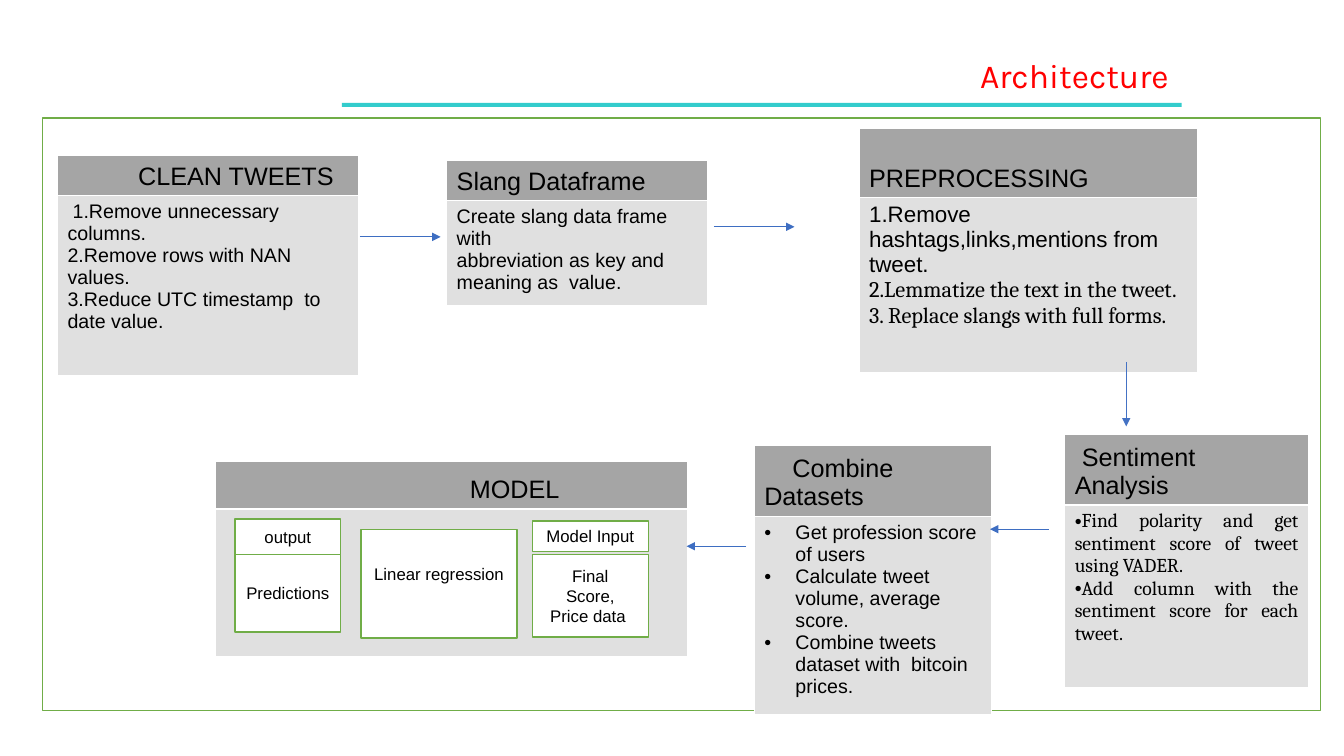
from lxml.etree import SubElement
from pptx import Presentation
from pptx.dml.color import RGBColor
from pptx.enum.shapes import MSO_CONNECTOR, MSO_SHAPE
from pptx.enum.text import MSO_ANCHOR, PP_ALIGN
from pptx.oxml.ns import qn
from pptx.util import Inches, Pt


def color(value):
    return RGBColor.from_string(value)


class Diagram:
    """Draws styled diagram elements on one slide."""

    GREEN, TEAL, BLUE = "70AD47", "33CCCC", "3E6EC2"
    HEADER, BODY, WHITE, BLACK, RED = "A5A5A5", "E0E0E0", "FFFFFF", "000000", "FF0000"

    def __init__(self, slide):
        self.slide = slide

    def label(self, paragraph, text, size, font="Arial", ink=BLACK, align=None):
        run = paragraph.add_run()
        run.text = text
        run.font.size = Pt(size)
        run.font.name = font
        run.font.bold = False
        run.font.color.rgb = color(ink)
        paragraph.alignment = align

    def indent(self, paragraph, first, left=0, bullet=False):
        properties = paragraph._p.get_or_add_pPr()
        properties.set("marL", str(Inches(left)))
        properties.set("indent", str(Inches(first)))
        if bullet:
            SubElement(properties, qn("a:buFont"), typeface="Arial")
            SubElement(properties, qn("a:buChar"), char="•")

    def lines(self, frame, entries, size, align=None):
        for index, (text, font) in enumerate(entries):
            paragraph = frame.add_paragraph() if index else frame.paragraphs[0]
            self.label(paragraph, text, size, font, align=align)
        return frame.paragraphs

    def title(self, text, left, top, width, height):
        frame = self.slide.shapes.add_textbox(
            Inches(left), Inches(top), Inches(width), Inches(height)).text_frame
        frame.word_wrap = True
        self.label(frame.paragraphs[0], text, 24, "Karla", self.RED, PP_ALIGN.RIGHT)

    def box(self, left, top, width, height, labels=(), fill=WHITE, line=GREEN, bottom=0.05):
        shape = self.slide.shapes.add_shape(
            MSO_SHAPE.RECTANGLE, Inches(left), Inches(top), Inches(width), Inches(height))
        shape.shadow.inherit = False
        shape.fill.solid()
        shape.fill.fore_color.rgb = color(fill)
        if line:
            shape.line.color.rgb = color(line)
            shape.line.width = Pt(1)
        else:
            shape.line.fill.background()
        if labels:
            frame = shape.text_frame
            frame.word_wrap = True
            frame.vertical_anchor = MSO_ANCHOR.MIDDLE
            frame.margin_bottom = Inches(bottom)
            self.lines(frame, [(text, "Arial") for text in labels], 12, PP_ALIGN.CENTER)

    def arrow(self, x1, y1, x2, y2, ink=BLUE):
        connector = self.slide.shapes.add_connector(
            MSO_CONNECTOR.STRAIGHT, Inches(x1), Inches(y1), Inches(x2), Inches(y2))
        connector.line.color.rgb = color(ink)
        connector.line.width = Pt(0.75)
        SubElement(connector.line._get_or_add_ln(), qn("a:tailEnd"), type="triangle")
        SubElement(connector._element.spPr, qn("a:effectLst"))

    def stage(self, left, top, width, heights, heading, entries=(), size=14, offset=0, align=None):
        table = self.slide.shapes.add_table(
            2, 1, Inches(left), Inches(top), Inches(width), Inches(sum(heights))).table
        for row, height, fill in zip(table.rows, heights, (self.HEADER, self.BODY)):
            row.height = Inches(height)
            row.cells[0].fill.solid()
            row.cells[0].fill.fore_color.rgb = color(fill)
        header, body = table.cell(0, 0), table.cell(1, 0)
        header.vertical_anchor = MSO_ANCHOR.BOTTOM
        title = header.text_frame.paragraphs[0]
        self.label(title, heading, 18)
        self.indent(title, offset)
        return self.lines(body.text_frame, entries, size, align)


def main():
    presentation = Presentation()
    presentation.slide_width, presentation.slide_height = Inches(13.33), Inches(7.5)
    diagram = Diagram(presentation.slides.add_slide(presentation.slide_layouts[6]))

    diagram.box(3.39, 1.02, 8.33, 0.04, fill=diagram.TEAL, line=None)
    diagram.title("Architecture", 3.11, 0.5, 8.58, 0.5)
    diagram.box(0.42, 1.17, 12.68, 5.88)

    cleaning = diagram.stage(0.57, 1.54, 2.99, (0.4, 1.79), "CLEAN TWEETS", [
        ("1.Remove unnecessary columns.", "Arial"),
        ("2.Remove rows with NAN values.", "Arial"),
        ("3.Reduce UTC timestamp  to  date value.", "Arial")], offset=0.7)
    diagram.indent(cleaning[0], 0.05)
    diagram.stage(8.52, 1.27, 3.36, (0.69, 1.74), "PREPROCESSING", [
        ("1.Remove hashtags,links,mentions from tweet.", "Arial"),
        ("2.Lemmatize the text in the tweet.", "Cambria"),
        ("3. Replace slangs with full forms.", "Cambria")], size=16)
    diagram.stage(4.43, 1.59, 2.59, (0.4, 1.04), "Slang Dataframe", [
        ("Create slang data frame with", "Arial"),
        ("abbreviation as key and meaning as  value.", "Arial")])
    sentiment = diagram.stage(10.56, 4.31, 2.42, (0.69, 1.81), "Sentiment  Analysis", [
        ("Find polarity and get sentiment score of tweet using VADER.", "Cambria"),
        ("Add column with the sentiment score for each tweet.", "Cambria")],
        offset=0.07, align=PP_ALIGN.JUSTIFY)
    for point in sentiment:
        diagram.indent(point, -0.1, bullet=True)
    combining = diagram.stage(7.48, 4.42, 2.35, (0.69, 1.97), "Combine Datasets", [
        ("Get profession score of users", "Arial"),
        ("Calculate tweet volume, average score.", "Arial"),
        ("Combine tweets dataset with  bitcoin prices.", "Arial")], offset=0.28)
    for point in combining:
        diagram.indent(point, -0.31, 0.31, bullet=True)
    diagram.stage(2.14, 4.58, 4.68, (0.47, 1.46), "MODEL", offset=2.42)

    diagram.arrow(3.57, 2.35, 4.37, 2.35)
    diagram.arrow(7.08, 2.25, 7.88, 2.25)
    diagram.arrow(11.17, 3.59, 11.17, 4.23, "4472C4")
    diagram.arrow(10.4, 5.25, 9.82, 5.25)
    diagram.arrow(7.4, 5.42, 6.81, 5.42)

    diagram.box(5.28, 5.17, 1.15, 0.3, ["Model Input"])
    diagram.box(5.28, 5.5, 1.15, 0.82, ["Final", "Score,", "Price data "])
    diagram.box(3.58, 5.25, 1.55, 1.08, ["Linear regression"], bottom=0.24)
    diagram.box(2.33, 5.5, 1.05, 0.77, ["Predictions"])
    diagram.box(2.33, 5.15, 1.05, 0.35, ["output"])

    presentation.save("out.pptx")


if __name__ == "__main__":
    main()
